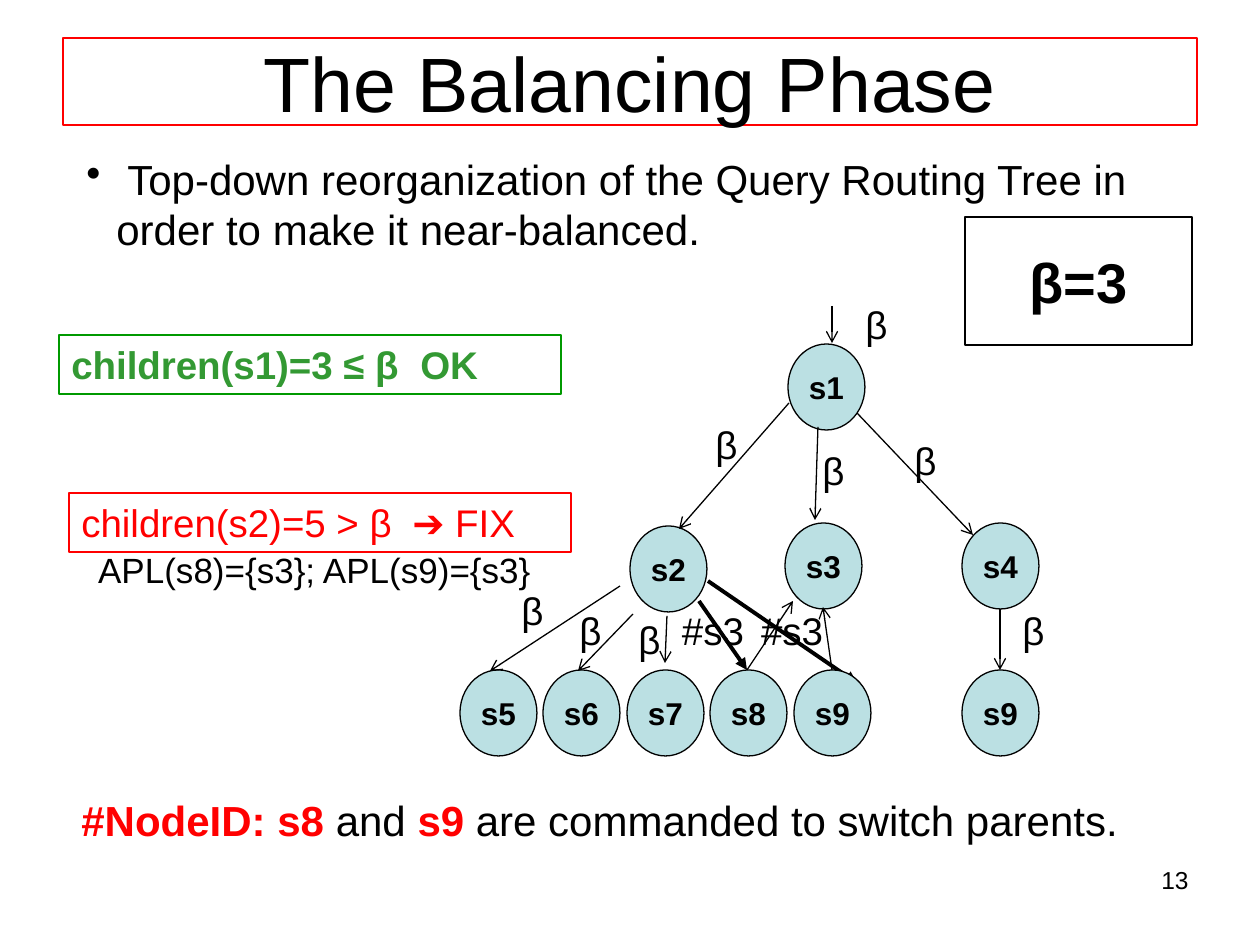
from lxml import etree
from pptx import Presentation
from pptx.dml.color import RGBColor
from pptx.enum.shapes import MSO_CONNECTOR, MSO_SHAPE
from pptx.enum.text import MSO_ANCHOR, PP_ALIGN
from pptx.oxml.ns import qn
from pptx.util import Pt

RECT, OVAL = MSO_SHAPE.RECTANGLE, MSO_SHAPE.OVAL
LEFT, MID, RIGHT = PP_ALIGN.LEFT, PP_ALIGN.CENTER, PP_ALIGN.RIGHT
TOP, CENTER = MSO_ANCHOR.TOP, MSO_ANCHOR.MIDDLE
LINE = MSO_CONNECTOR.STRAIGHT
PX = 914400 / 126
COLORS = {"black": "000000", "red": "FF0000", "edge": "009900",
          "green": "339933", "node": "BBE0E3"}
INK = {name: RGBColor.from_string(code) for name, code in COLORS.items()}

deck = Presentation()
deck.slide_width, deck.slide_height = int(1260 * PX), int(945 * PX)
slide = deck.slides.add_slide(deck.slide_layouts[6])


def put(at, runs, size, align=MID, anchor=TOP, form=None, edge=None, fill=None):
    """Add text in a box, or in a preset form; runs are (text, color, bold)."""
    at = [int(n * PX) for n in at]
    if form is None:
        item = slide.shapes.add_textbox(*at)
    else:
        item = slide.shapes.add_shape(form, *at)
        item.shadow.inherit = False
        item.line.color.rgb = INK[edge]
        item.line.width = Pt(0.75)
        if fill:
            item.fill.solid()
            item.fill.fore_color.rgb = INK[fill]
        else:
            item.fill.background()
    frame = item.text_frame
    frame.word_wrap = form != OVAL
    frame.vertical_anchor = anchor
    para = frame.paragraphs[0]
    para.alignment = align
    for text, color, bold in runs:
        run = para.add_run()
        run.text = text
        font = run.font
        font.name, font.size, font.bold = "Arial", Pt(size), bold
        font.color.rgb = INK[color]
    return para


def arrow(ends, head="arrow", width=0.75):
    line = slide.shapes.add_connector(LINE, *[int(n * PX) for n in ends])
    line.line.color.rgb = INK["black"]
    line.line.width = Pt(width)
    etree.SubElement(line.line._get_or_add_ln(), qn("a:tailEnd"), type=head)
    etree.SubElement(line._element.spPr, qn("a:effectLst"))


# Switch commands, behind the nodes
for x in (669, 748):
    put((x, 601, 88, 59), [("#s3", "black", False)], 22)
for ends in ((699, 601, 747, 670), (708, 581, 857, 683)):
    arrow(ends, "triangle", 2.25)

# Title, bullet and page number
put((63, 38, 1134, 87), [("The Balancing Phase", "black", False)], 44,
    anchor=CENTER, form=RECT, edge="red")
lead = put((74, 147, 1126, 745),
           [(" Top-down reorganization of the Query Routing Tree in order "
             "to make it near-balanced.", "black", False)], 24, LEFT)
props = lead._p.get_or_add_pPr()
props.set("marL", str(int(30 * PX)))
props.set("indent", str(int(-30 * PX)))
etree.SubElement(props, qn("a:buChar"), char="•")
put((907, 859, 294, 66), [("13", "black", False)], 14, RIGHT)

# Tree nodes
nodes = [("s1", 788, 344), ("s2", 630, 526), ("s3", 785, 523),
         ("s4", 962, 523), ("s9", 962, 670)]
nodes += [(f"s{i + 5}", 460 + i * 167 // 2, 670) for i in range(5)]
for name, x, y in nodes:
    put((x, y, 77, 86), [(name, "black", True)], 18,
        anchor=CENTER, form=OVAL, edge="black", fill="node")

# Tree edges
for ends in ((832, 306, 832, 343),
             (789, 403, 679, 529), (857, 413, 973, 535), (818, 427, 815, 520),
             (620, 586, 490, 671), (633, 614, 578, 671), (667, 616, 665, 663),
             (1000, 609, 1000, 670),
             (747, 670, 793, 601), (832, 670, 823, 607)):
    arrow(ends)
for x, y in ((837, 295), (687, 415), (794, 441), (886, 431),
             (493, 581), (551, 601), (610, 610), (994, 601)):
    put((x, y, 79, 59), [("β", "black", False)], 22)

# Checks, with a tab before the verdict
for x, y, text, ink, bold, edge, stop in (
        (59, 335, "children(s1)=3 ≤ β\tOK", "green", True, "edge", 349),
        (69, 493, "children(s2)=5 > β\t➔ FIX", "red", False, "red", 331)):
    check = put((x, y, 502, 59), [(text, ink, bold)], 22, LEFT,
                form=RECT, edge=edge)
    tabs = etree.SubElement(check._p.get_or_add_pPr(), qn("a:tabLst"))
    etree.SubElement(tabs, qn("a:tab"), pos=str(int(stop * PX)), algn="l")

put((965, 217, 227, 128), [("β=3", "black", True)], 32,
    anchor=CENTER, form=RECT, edge="black")
put((39, 542, 551, 55), [("APL(s8)={s3}; APL(s9)={s3}", "black", False)], 20)
put((69, 788, 1063, 63),
    [("#NodeID: s8 ", "red", True), ("and", "black", False),
     (" s9 ", "red", True),
     ("are commanded to switch parents.", "black", False)], 24, LEFT)

deck.save("out.pptx")
